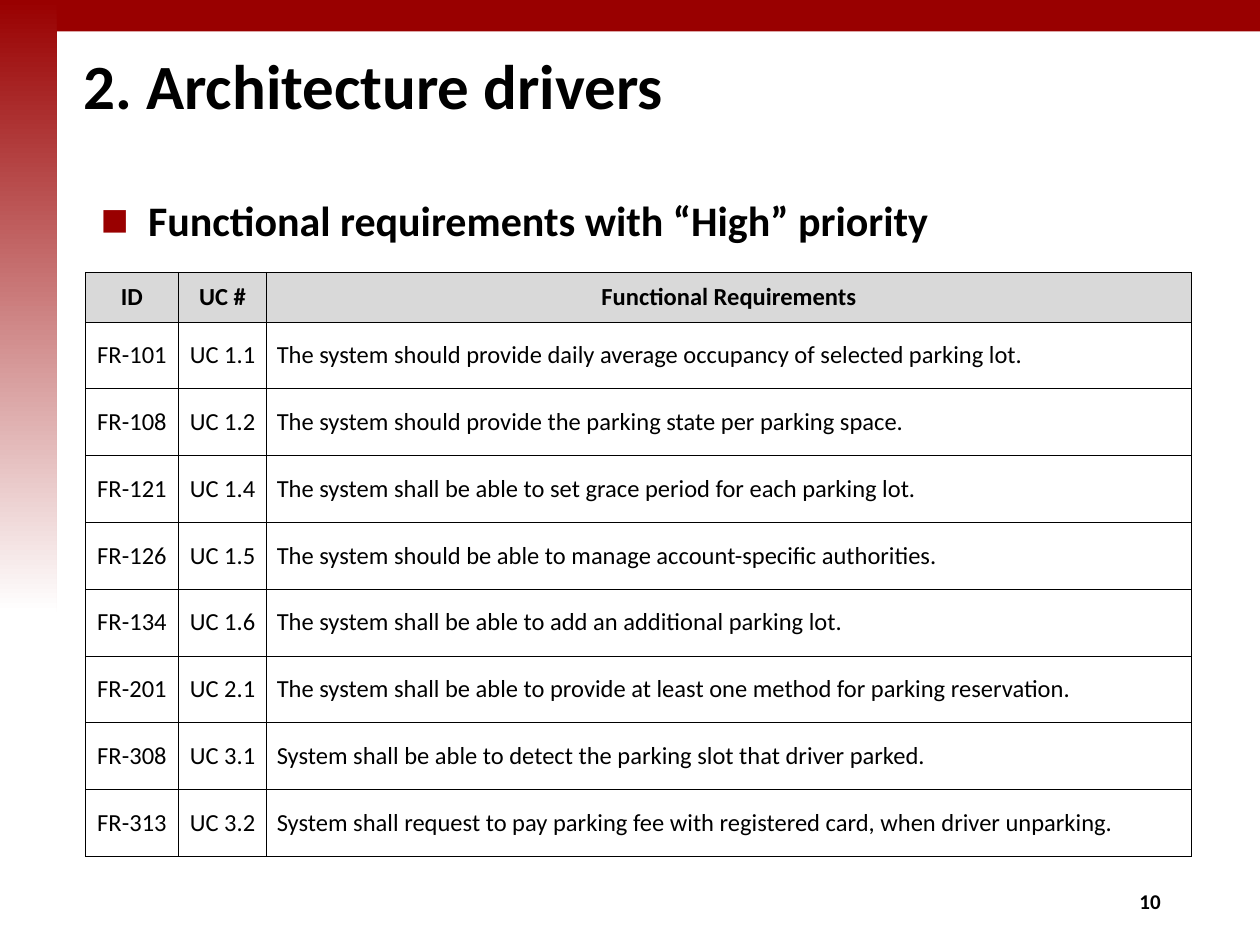
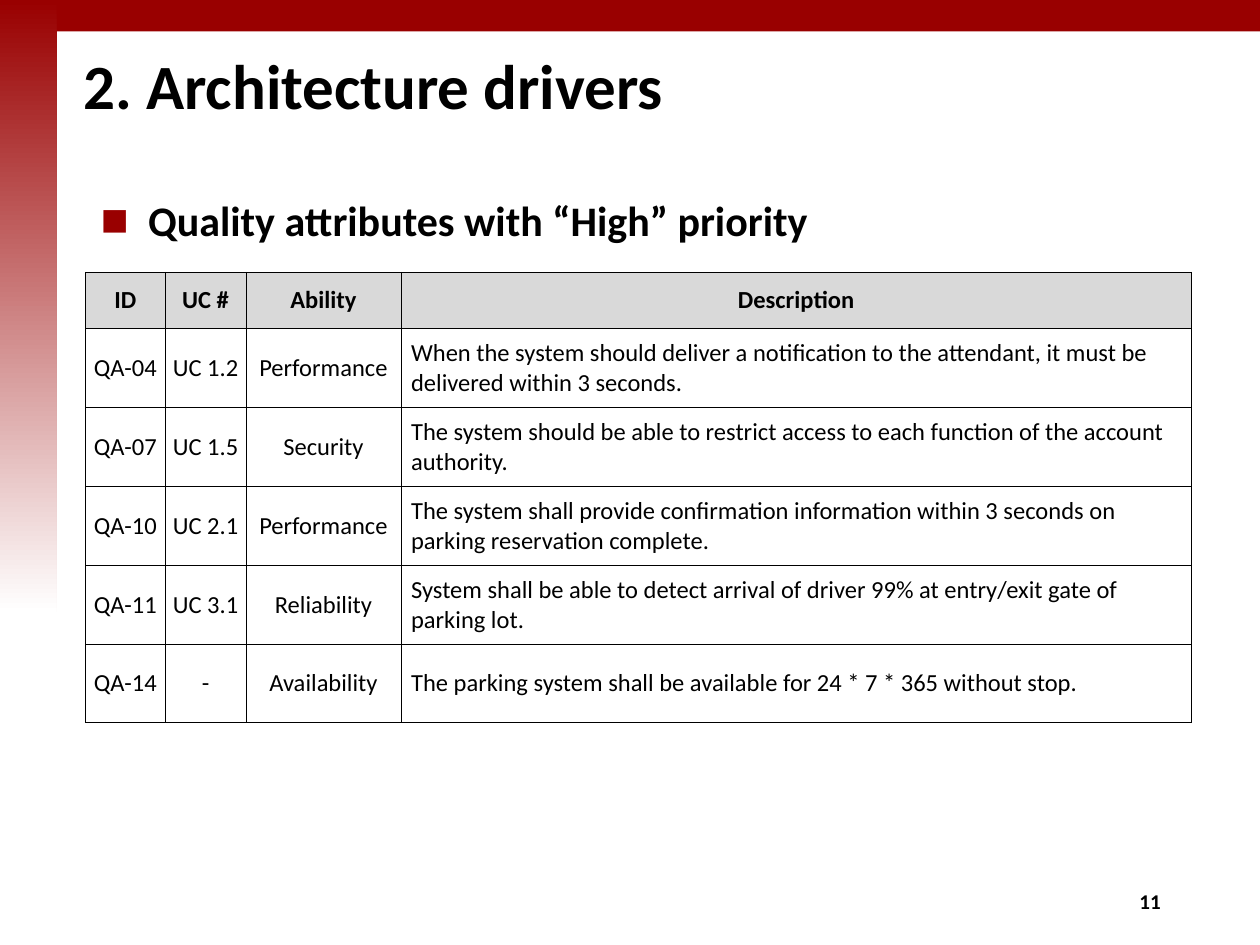
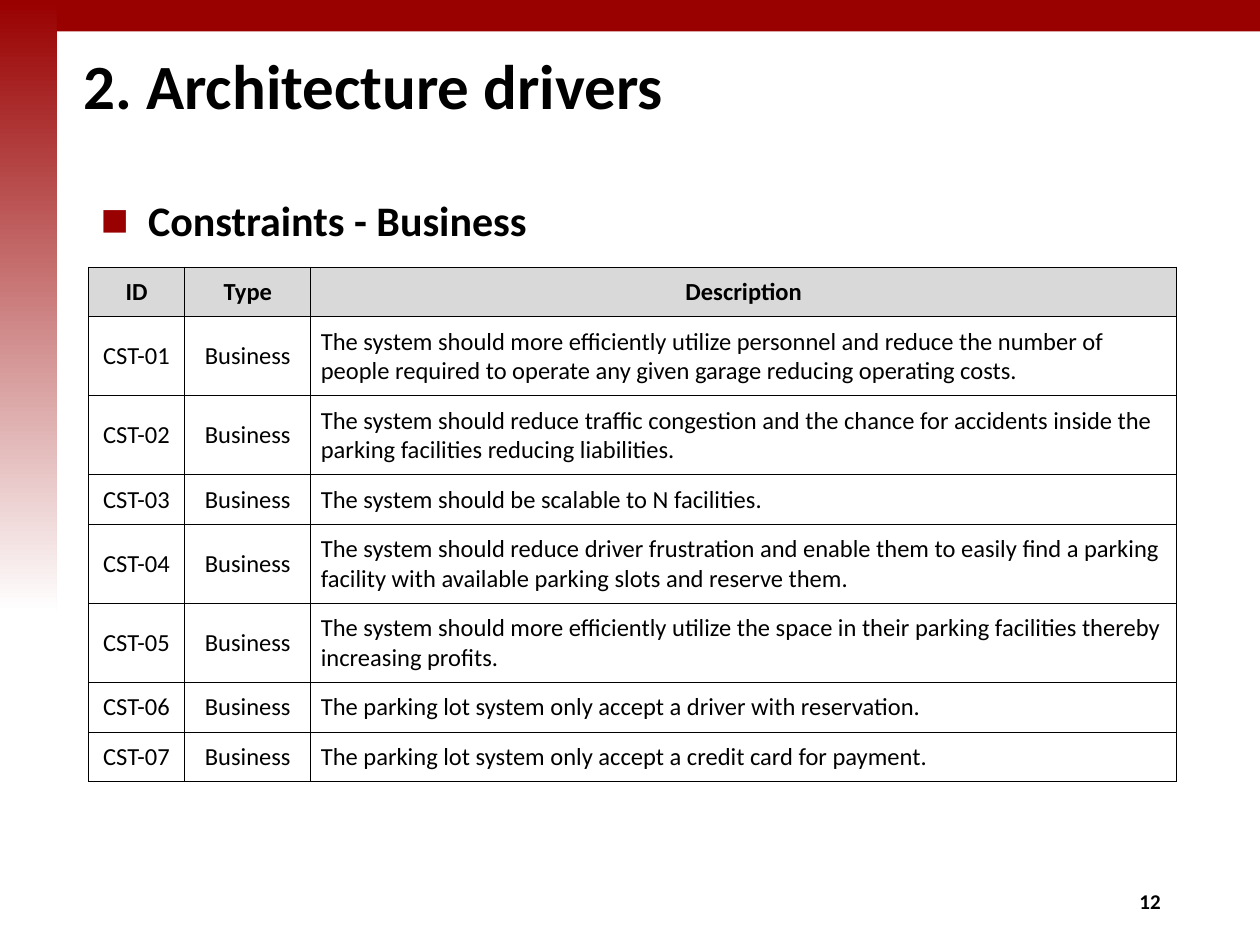
from copy import deepcopy

from lxml import etree
from pptx import Presentation
from pptx import util as u
from pptx.dml.color import RGBColor
from pptx.enum import shapes, text
from pptx.oxml import ns

Pt = u.Pt
ALIGN = text.PP_ALIGN
COLORS = {"accent": "990000", "paper": "FFFFFF", "ink": "000000", "header": "D9D9D9"}
FONT = "Calibri"
TITLE = "2. Architecture drivers"
FIRST_PAGE = 10
PAD = 5.76


def rgb(name):
    return RGBColor.from_string(COLORS[name])


def sub(parent, tag, **attrs):
    return etree.SubElement(parent, ns.qn(tag), attrs)


class Deck:
    """Holds the style and the current slide."""

    def __init__(self):
        self.prs = Presentation()
        self.prs.slide_width, self.prs.slide_height = Pt(720), Pt(540)
        self.s = None

    def new_slide(self, heading, page):
        self.s = self.prs.slides.add_slide(self.prs.slide_layouts[1])
        self.band(720, 18)
        self.band(32.4, 350, fade=True)
        self.title(TITLE)
        self.bullet(heading)
        self.page_number(page)

    def place(self, sp, left, top, width, height):
        sp.left, sp.top, sp.width, sp.height = map(Pt, (left, top, width, height))

    def run(self, p, words, size, bold=False):
        r = p.add_run()
        r.text = words
        r.font.name, r.font.size, r.font.bold = FONT, Pt(size), bold
        r.font.color.rgb = rgb("ink")
        return r

    def band(self, width, height, fade=False):
        sp = self.s.shapes.add_shape(shapes.MSO_SHAPE.RECTANGLE, 0, 0, Pt(width), Pt(height))
        sp.shadow.inherit = False
        sp.line.fill.background()
        if fade:
            sp.fill.gradient()
            sp.fill.gradient_angle = 270
            for stop, name in zip(sp.fill.gradient_stops, ("accent", "paper")):
                stop.color.rgb = rgb(name)
            for position, stop in enumerate(sp.fill.gradient_stops):
                stop.position = position
        else:
            sp.fill.solid()
            sp.fill.fore_color.rgb = rgb("accent")

    def title(self, words):
        sp = self.s.shapes.title
        self.place(sp, 31, 18, 689, 60)
        tf = sp.text_frame
        tf.auto_size = text.MSO_AUTO_SIZE.NONE
        tf.vertical_anchor = text.MSO_ANCHOR.MIDDLE
        p = tf.paragraphs[0]
        p.alignment = ALIGN.LEFT
        p._p.get_or_add_pPr().set("marL", str(Pt(9.4)))
        self.run(p, words, 36, True)

    def bullet(self, words):
        sp = self.s.placeholders[1]
        self.place(sp, 50.4, 107.3, 622, 391.7)
        tf = sp.text_frame
        tf.auto_size = text.MSO_AUTO_SIZE.NONE
        p = tf.paragraphs[0]
        pPr = p._p.get_or_add_pPr()
        pPr.set("marL", str(Pt(27)))
        pPr.set("indent", str(Pt(-27)))
        sub(sub(pPr, "a:buClr"), "a:srgbClr", val=COLORS["accent"])
        sub(pPr, "a:buSzPct", val="70000")
        sub(pPr, "a:buFont", typeface=FONT)
        sub(pPr, "a:buChar", char="■")
        self.run(p, words, 24, True)

    def page_number(self, page):
        sp = self.s.shapes.add_textbox(Pt(508.3), Pt(500.4), Pt(162), Pt(28.8))
        tf = sp.text_frame
        tf.word_wrap = True
        tf.vertical_anchor = text.MSO_ANCHOR.MIDDLE
        p = tf.paragraphs[0]
        p.alignment = ALIGN.RIGHT
        self.run(p, str(page), 12, True)

    def table(self, left, top, widths, head_height, row_height, side_pad, rows):
        """The last column holds left-aligned text; all others are centred."""
        heights = [head_height] + [row_height] * (len(rows) - 1)
        frame = self.s.shapes.add_table(len(rows), len(widths), Pt(left), Pt(top),
                                        Pt(sum(widths)), Pt(sum(heights)))
        tbl = frame.table
        tbl.first_row = tbl.horz_banding = False
        for column, width in zip(tbl.columns, widths):
            column.width = Pt(width)
        for row, height in zip(tbl.rows, heights):
            row.height = Pt(height)
        for i, row in enumerate(rows):
            for j, words in enumerate(row):
                is_text = i > 0 and j == len(widths) - 1
                self.cell(tbl.cell(i, j), words, i == 0, is_text, PAD if is_text else side_pad)

    def cell(self, cell, words, header, is_text, side_pad):
        cell.margin_left = cell.margin_right = Pt(side_pad)
        cell.margin_top = cell.margin_bottom = Pt(PAD)
        cell.vertical_anchor = text.MSO_ANCHOR.MIDDLE
        # Borders come before the fill in the cell properties
        for side in "LRTB":
            ln = sub(cell._tc.get_or_add_tcPr(), f"a:ln{side}", w=str(Pt(0.5)))
            sub(sub(ln, "a:solidFill"), "a:srgbClr", val=COLORS["ink"])
        if header:
            cell.fill.solid()
            cell.fill.fore_color.rgb = rgb("header")
        else:
            cell.fill.background()
        # "\n" starts a paragraph, "\v" breaks a line
        tf = cell.text_frame
        for n, paragraph in enumerate(words.split("\n")):
            p = tf.add_paragraph() if n else tf.paragraphs[0]
            p.alignment = ALIGN.LEFT if is_text else ALIGN.CENTER
            for m, line in enumerate(paragraph.split("\v")):
                if m:
                    p.add_line_break()
                    p._p[-1].append(deepcopy(r._r.rPr))
                r = self.run(p, line, 14, header)


# Table contents
FUNCTIONAL = [
    ("ID", "UC #", "Functional Requirements"),
    ("FR-101", "UC 1.1", "The system should provide daily average occupancy of selected parking lot."),
    ("FR-108", "UC 1.2", "The system should provide the parking state per parking space."),
    ("FR-121", "UC 1.4", "The system shall be able to set grace period for each parking lot."),
    ("FR-126", "UC 1.5", "The system should be able to manage account-specific authorities."),
    ("FR-134", "UC 1.6", "The system shall be able to add an additional parking lot."),
    ("FR-201", "UC 2.1", "The system shall be able to provide at least one method for parking reservation."),
    ("FR-308", "UC 3.1", "System shall be able to detect the parking slot that driver parked."),
    ("FR-313", "UC 3.2", "System shall request to pay parking fee with registered card, when driver unparking."),
]
QUALITY = [
    ("ID", "UC #", "Ability", "Description"),
    ("QA-04", "UC 1.2", "Performance",
     "When the system should deliver a notification to the attendant, it must be\v"
     "delivered within 3 seconds."),
    ("QA-07", "UC 1.5", "Security",
     "The system should be able to restrict access to each function of the account\vauthority."),
    ("QA-10", "UC 2.1", "Performance",
     "The system shall provide confirmation information within 3 seconds on\v"
     "parking reservation complete."),
    ("QA-11", "UC 3.1", "Reliability",
     "System shall be able to detect arrival of driver 99% at entry/exit gate of\vparking lot."),
    ("QA-14", "-", "Availability",
     "The parking system shall be available for 24 * 7 * 365 without stop."),
]
BUSINESS = [
    "The system should more efficiently utilize personnel and reduce the number of\n"
    "people required to operate any given garage reducing operating costs.",
    "The system should reduce traffic congestion and the chance for accidents inside the "
    "parking facilities reducing liabilities.",
    "The system should be scalable to N facilities.",
    "The system should reduce driver frustration and enable them to easily find a parking\n"
    "facility with available parking slots and reserve them.",
    "The system should more efficiently utilize the space in their parking facilities thereby\n"
    "increasing profits.",
    "The parking lot system only accept a driver with reservation.",
    "The parking lot system only accept a credit card for payment.",
]
CONSTRAINTS = [("ID", "Type", "Description")] + [
    (f"CST-{n:02}", "Business", words) for n, words in enumerate(BUSINESS, 1)]

# Heading, then left, top, column widths, header height, row height, side padding, rows
SLIDES = [
    ("Functional requirements with “High” priority",
     (48.8, 155.6, (53.2, 50.4, 528.4), 27.4, 38.2, 2.88, FUNCTIONAL)),
    ("Quality attributes with “High” priority",
     (48.8, 155.6, (45.6, 46.2, 88.6, 451.6), 32, 44.6, 2.88, QUALITY)),
    ("Constraints - Business",
     (50.4, 152.6, (55.2, 72, 494.8), 26, 26, PAD, CONSTRAINTS)),
]


def main():
    deck = Deck()
    for page, (heading, table) in enumerate(SLIDES, FIRST_PAGE):
        deck.new_slide(heading, page)
        deck.table(*table)
    deck.prs.save("out.pptx")


if __name__ == "__main__":
    main()
